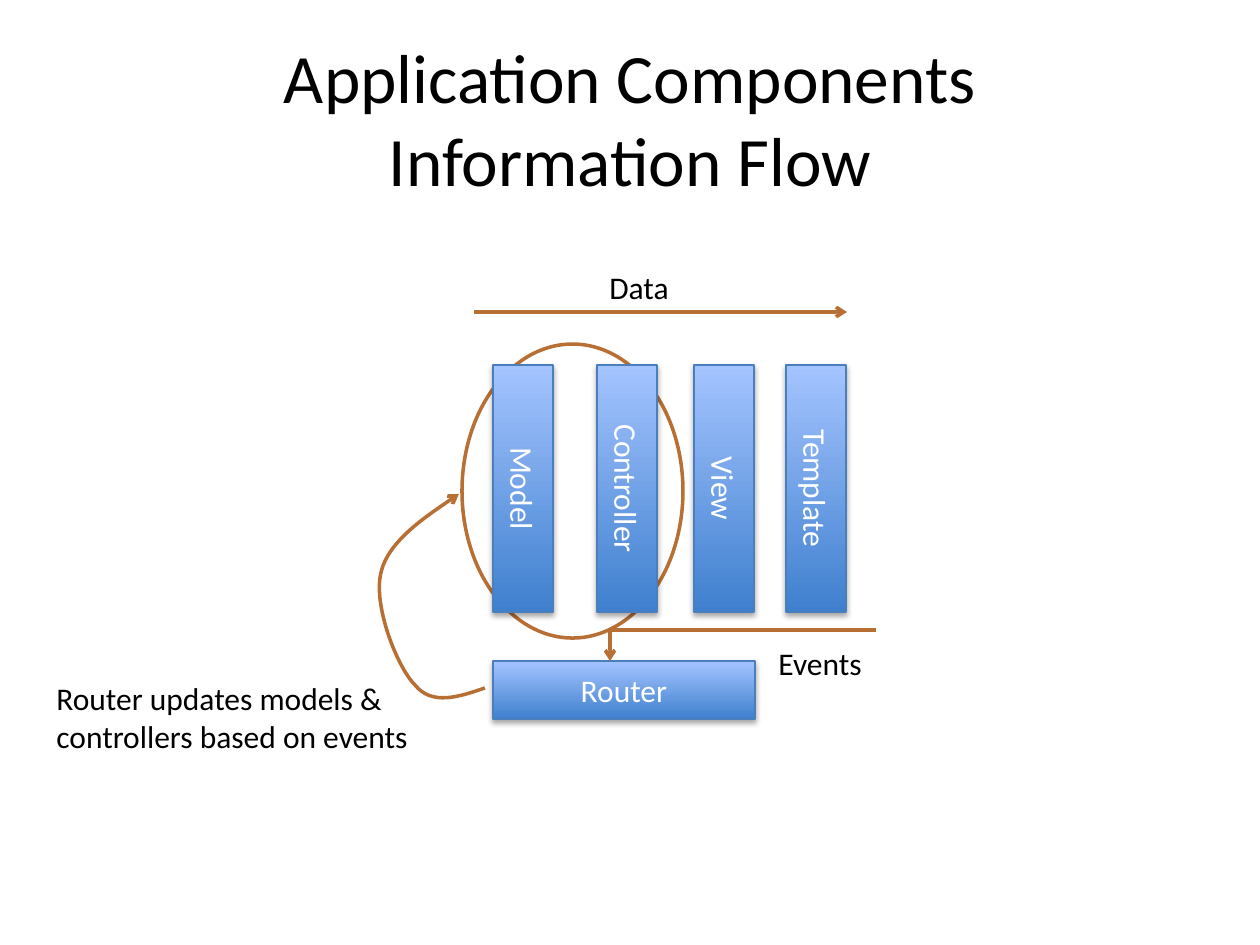
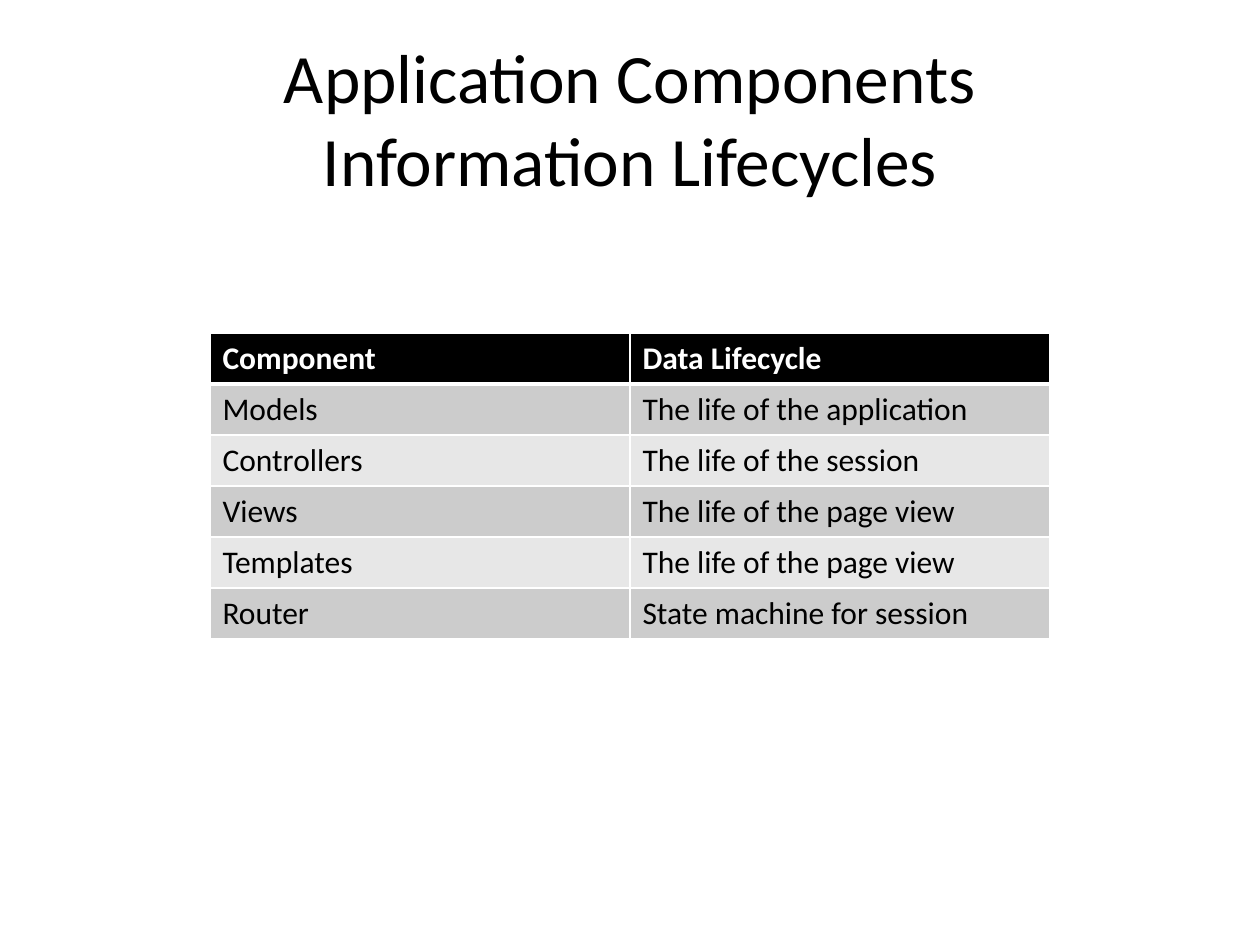
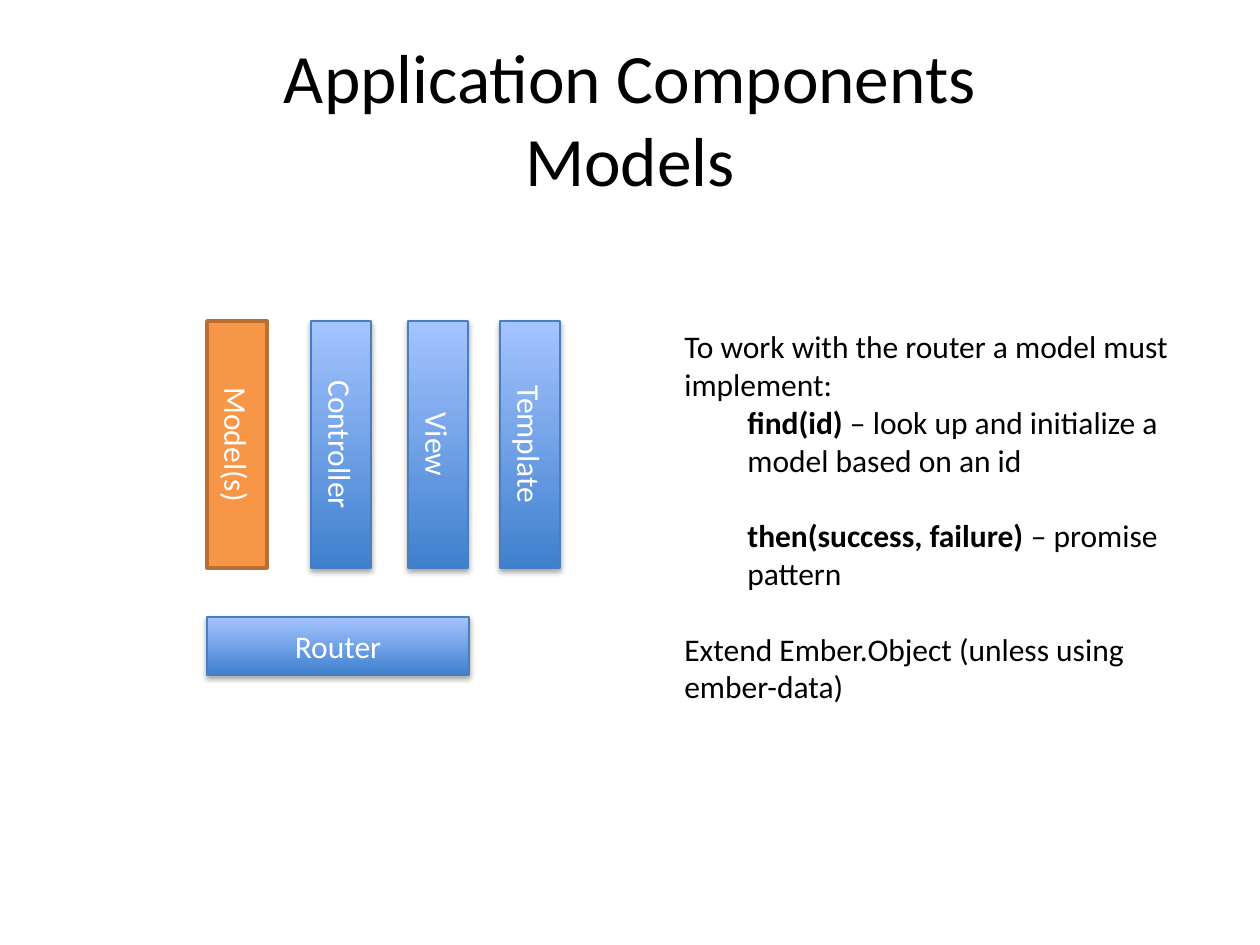
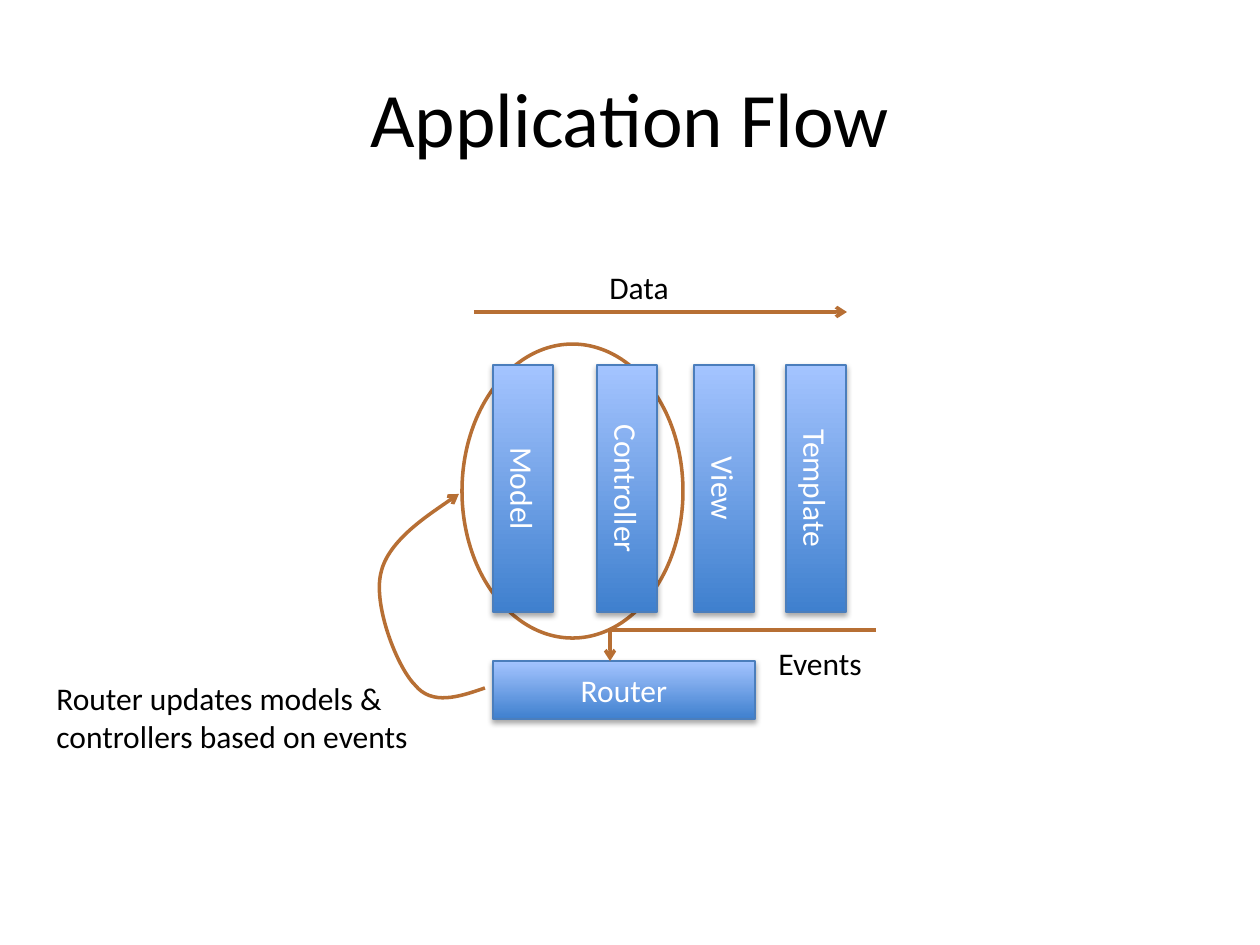
from lxml import etree
from pptx import Presentation, util as u
from pptx.dml import color
from pptx.enum import shapes, text
from pptx.oxml import ns

PIXEL = 914400 / 126
FONT = "Calibri"
COLORS = {
    "black": "000000", "white": "FFFFFF", "orange": "F79646", "rust": "B76F34",
    "blue": "3F80CE", "light_blue": "A4C4FF", "blue_edge": "4B7EBC",
    "dark_row": "CCCCCC", "light_row": "E7E7E7",
}
TITLES = {
    "flow": ["Application Components", "Information Flow"],
    "lifecycles": ["Application Components", "Information Lifecycles"],
    "models": ["Application Components", "Models"],
    "application": ["Application Flow"],
}
LIFECYCLES = [
    ("Component", "Data Lifecycle"),
    ("Models", "The life of the application"),
    ("Controllers", "The life of the session"),
    ("Views", "The life of the page view"),
    ("Templates", "The life of the page view"),
    ("Router", "State machine for session"),
]
LAYERS = ["Controller", "View", "Template"]
LAYER_OFFSETS = [0, 104, 201, 293]
FLOW_LABELS = [
    ((597, 262, 86, 50), ["Data"]),
    ((766, 638, 111, 50), ["Events"]),
    ((44, 673, 383, 89), ["Router updates models &", "controllers based on events"]),
]
UPDATE_CURVE = [
    (485, 688), (459, 697), (432, 706), (415, 685), (397, 667),
    (373, 605), (381, 573), (388, 540), (459, 494), (459, 494),
]
MODEL_NOTES = [
    (0, 0, [("To work with the router a model must implement:", False)]),
    (1, 0, [("find(id)", True), (" – look up and initialize a model based on an id", False)]),
    (1, 21.6, [("then(success, failure)", True), (" – promise pattern", False)]),
    (0, 21.6, [("Extend Ember.Object (unless using ember-data)", False)]),
]


def emu(pixels):
    return u.Emu(round(pixels * PIXEL))


def box(*pixels):
    return [emu(value) for value in pixels]


def rgb(name):
    return color.RGBColor.from_string(COLORS[name])


def add_run(paragraph, content, size=18, ink="black", bold=False):
    run = paragraph.add_run()
    run.text = content
    run.font.name = FONT
    run.font.size = u.Pt(size)
    run.font.bold = bold
    run.font.color.rgb = rgb(ink)


def set_line(shape, ink="rust", width=2, arrow=False):
    shape.line.color.rgb = rgb(ink)
    shape.line.width = u.Pt(width)
    if arrow:
        line = shape._element.spPr.find(ns.qn("a:ln"))
        etree.SubElement(line, ns.qn("a:tailEnd"), type="arrow")


def add_slide(title):
    slide = presentation.slides.add_slide(presentation.slide_layouts[6])
    frame = slide.shapes.add_textbox(*box(63, 38, 1134, 158)).text_frame
    frame.word_wrap = True
    frame.vertical_anchor = text.MSO_ANCHOR.MIDDLE
    paragraph = frame.paragraphs[0]
    paragraph.alignment = text.PP_ALIGN.CENTER
    for index, line in enumerate(title):
        if index:
            paragraph.add_line_break()
        add_run(paragraph, line, 39.6 if len(title) > 1 else 44)
    return slide


def add_outline(slide, kind, place):
    shape = slide.shapes.add_shape(kind, *box(*place))
    shape.shadow.inherit = False
    return shape


def add_block(slide, label, place, vertical=False, highlighted=False):
    shape = add_outline(slide, shapes.MSO_SHAPE.RECTANGLE, place)
    if highlighted:
        shape.fill.solid()
        shape.fill.fore_color.rgb = rgb("orange")
        set_line(shape)
    else:
        shape.fill.gradient()
        shape.fill.gradient_angle = 90
        for stop, position, name in zip(shape.fill.gradient_stops, (0, 1), ("blue", "light_blue")):
            stop.position = position
            stop.color.rgb = rgb(name)
        set_line(shape, "blue_edge", 0.75)
        effects = shape._element.spPr.find(ns.qn("a:effectLst"))
        shadow = etree.SubElement(effects, ns.qn("a:outerShdw"), blurRad="40000",
                                  dist="23000", dir="5400000", rotWithShape="0")
        ink = etree.SubElement(shadow, ns.qn("a:srgbClr"), val=COLORS["black"])
        etree.SubElement(ink, ns.qn("a:alpha"), val="35000")
    frame = shape.text_frame
    frame.vertical_anchor = text.MSO_ANCHOR.MIDDLE
    if vertical:
        frame._txBody.bodyPr.set("vert", "vert")
    paragraph = frame.paragraphs[0]
    paragraph.alignment = text.PP_ALIGN.CENTER
    add_run(paragraph, label, ink="white")


def add_components(slide, left, top, model, highlighted=False):
    for offset, label in zip(LAYER_OFFSETS, [model] + LAYERS):
        add_block(slide, label, (left + offset, top, 60, 247), True,
                  highlighted and label == model)
    add_block(slide, "Router", (left, top + 296, 262, 58))


def add_connector(slide, kind, *ends):
    connector = slide.shapes.add_connector(kind, *box(*ends))
    set_line(connector, arrow=True)
    etree.SubElement(connector._element.spPr, ns.qn("a:effectLst"))
    return connector


def add_curve(slide, points):
    builder = slide.shapes.build_freeform(*points[0], scale=PIXEL)
    builder.add_line_segments(points[1:], close=False)
    curve = builder.convert_to_shape()
    curve.shadow.inherit = False
    curve.fill.background()
    set_line(curve, arrow=True)
    segments = curve._element.xpath(".//a:lnTo")
    for start in range(0, len(segments), 3):
        bezier = etree.Element(ns.qn("a:cubicBezTo"))
        segments[start].addprevious(bezier)
        for segment in segments[start:start + 3]:
            bezier.append(segment[0])
            segment.getparent().remove(segment)


def add_flow_slide(title):
    slide = add_slide(title)
    ellipse = add_outline(slide, shapes.MSO_SHAPE.OVAL, (462, 344, 221, 294))
    ellipse.fill.background()
    set_line(ellipse)
    add_components(slide, 493, 365, "Model")
    add_connector(slide, shapes.MSO_CONNECTOR.STRAIGHT, 474, 312, 847, 312)
    events = add_connector(slide, shapes.MSO_CONNECTOR.ELBOW, 610, 661, 876, 630)
    properties = events._element.spPr
    properties.find(ns.qn("a:xfrm")).set("rot", "10800000")
    properties.find(ns.qn("a:prstGeom")).set("prst", "bentConnector2")
    add_curve(slide, UPDATE_CURVE)
    for place, lines in FLOW_LABELS:
        frame = slide.shapes.add_textbox(*box(*place)).text_frame
        frame.word_wrap = False
        frame.auto_size = text.MSO_AUTO_SIZE.SHAPE_TO_FIT_TEXT
        for index, line in enumerate(lines):
            add_run(frame.add_paragraph() if index else frame.paragraphs[0], line)


def add_lifecycle_slide():
    slide = add_slide(TITLES["lifecycles"])
    rows, columns = len(LIFECYCLES), len(LIFECYCLES[0])
    table = slide.shapes.add_table(rows, columns, *box(210, 333, 840, rows * 51)).table
    for row, values in enumerate(LIFECYCLES):
        table.rows[row].height = emu(51)
        for column, value in enumerate(values):
            cell = table.cell(row, column)
            widths = {"L": 1, "R": 1, "T": 3 if row == 1 else 1, "B": 3 if row == 0 else 1}
            for side, width in widths.items():
                border = etree.SubElement(cell._tc.get_or_add_tcPr(), ns.qn("a:ln" + side),
                                          w=str(u.Pt(width)))
                fill = etree.SubElement(border, ns.qn("a:solidFill"))
                etree.SubElement(fill, ns.qn("a:srgbClr"), val=COLORS["white"])
            cell.fill.solid()
            band = "black" if row == 0 else "dark_row" if row % 2 else "light_row"
            cell.fill.fore_color.rgb = rgb(band)
            add_run(cell.text_frame.paragraphs[0], value,
                    ink="black" if row else "white", bold=row == 0)


def add_models_slide():
    slide = add_slide(TITLES["models"])
    add_components(slide, 207, 321, "Model(s)", highlighted=True)
    frame = slide.shapes.add_textbox(*box(672, 321, 543, 394)).text_frame
    frame.word_wrap = True
    frame.auto_size = text.MSO_AUTO_SIZE.SHAPE_TO_FIT_TEXT
    for index, (level, gap, runs) in enumerate(MODEL_NOTES):
        paragraph = frame.add_paragraph() if index else frame.paragraphs[0]
        paragraph.level = level
        paragraph.space_before = u.Pt(gap)
        properties = paragraph._p.get_or_add_pPr()
        properties.set("marL", str(emu(63 * level)))
        properties.set("indent", "0")
        for content, bold in runs:
            add_run(paragraph, content, bold=bold)


presentation = Presentation()
presentation.slide_width, presentation.slide_height = box(1260, 945)
add_flow_slide(TITLES["flow"])
add_lifecycle_slide()
add_models_slide()
add_flow_slide(TITLES["application"])
presentation.save("out.pptx")
